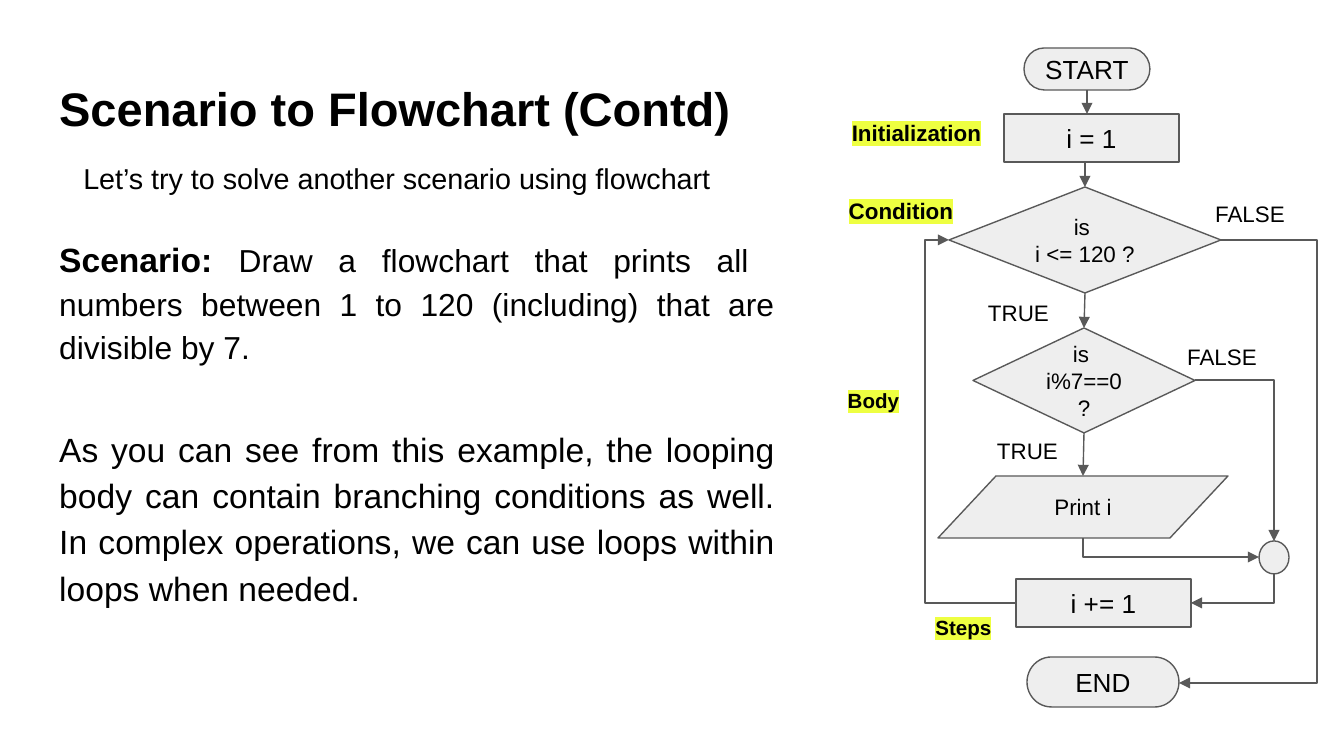
"""Build the slide that turns a looping scenario into a flowchart."""
from lxml.etree import SubElement
from pptx import Presentation
from pptx.dml.color import RGBColor
from pptx.enum.shapes import MSO_CONNECTOR as LINE, MSO_SHAPE as SHAPE
from pptx.enum.text import MSO_ANCHOR as ANCHOR, PP_ALIGN as ALIGN
from pptx.oxml.ns import qn
from pptx.util import Inches, Pt

BLACK = RGBColor(0x00, 0x00, 0x00)
GREY = RGBColor(0x59, 0x59, 0x59)
PALE = RGBColor(0xEE, 0xEE, 0xEE)
YELLOW = RGBColor(0xEE, 0xFF, 0x41)
FONT = "Arial"
PX = Inches(1) / 134.4

PROSE = dict(align=ALIGN.JUSTIFY, spacing=1.15, after=12)
PASSAGES = [
    ((46, 66, 765, 85), "Scenario to Flowchart (Contd)",
     dict(size=25.2, bold=True, align=ALIGN.LEFT)),
    ((46, 149, 702, 62), "Let’s try to solve another scenario using flowchart",
     dict(size=15.4, anchor=ANCHOR.MIDDLE, spacing=0.95, after=12)),
    ((46, 219, 742, 157),
     "Draw a flowchart that prints all  numbers between 1 to 120 (including) "
     "that are divisible by 7.", dict(size=17, lead="Scenario: ", **PROSE)),
    ((46, 409, 742, 208),
     "As you can see from this example, the looping body can contain branching "
     "conditions as well. In complex operations, we can use loops within loops "
     "when needed.", dict(size=18, **PROSE)),
]
STEPS = [
    (SHAPE.FLOWCHART_TERMINATOR, (1024, 48, 126, 42), "START", 14),
    (SHAPE.FLOWCHART_PROCESS, (1004, 114, 175, 48), "i = 1", 14),
    (SHAPE.FLOWCHART_DECISION, (949, 187, 272, 106), "is \ni <= 120 ?", 12),
    (SHAPE.FLOWCHART_DECISION, (973, 328, 222, 105), "is \ni%7==0 ?", 12),
    (SHAPE.FLOWCHART_DATA, (938, 476, 290, 62), "Print i", 12),
    (SHAPE.OVAL, (1259, 541, 30, 33), "", 12),
    (SHAPE.FLOWCHART_PROCESS, (1016, 579, 175, 48), "i += 1", 14),
    (SHAPE.FLOWCHART_TERMINATOR, (1027, 657, 152, 50), "END", 14),
]
BRANCHES = [
    ((973, 290, 91, 46), "TRUE"),
    ((1199, 198, 102, 32), "FALSE"),
    ((982, 425, 91, 51), "TRUE"),
    ((1171, 341, 102, 32), "FALSE"),
]
LOOP_PARTS = [
    ((828, 103, 177, 59), "Initialization", 12),
    ((828, 191, 146, 39), "Condition", 12),
    ((828, 371, 91, 59), "Body", 11),
    ((918, 598, 91, 59), "Steps", 11),
]
DROPS = [
    ((1087, 90), (1087, 114)),
    ((1085, 162), (1085, 187)),
    ((1085, 293), (1084, 328)),
    ((1084, 433), (1083, 476)),
]
# Corners run horizontally first, so an arrow may sit at either end.
CORNERS = [
    ((1195, 380), (1274, 541), "a:tailEnd"),
    ((1259, 557), (1083, 538), "a:headEnd"),
    ((1191, 603), (1274, 574), "a:headEnd"),
]
DETOURS = [
    ((1016, 603), (949, 240), 925),
    ((1221, 240), (1179, 683), 1317),
]


def px(*lengths):
    return [round(length * PX) for length in lengths]


def write(frame, text, size=12, bold=False, lead="", align=ALIGN.CENTER,
          anchor=ANCHOR.TOP, spacing=None, after=0, highlight=None):
    frame.word_wrap = True
    frame.vertical_anchor = anchor
    frame.margin_left = frame.margin_right = Inches(0.1)
    frame.margin_top = frame.margin_bottom = Inches(0.1)
    for number, words in enumerate(text.split("\n")):
        paragraph = frame.add_paragraph() if number else frame.paragraphs[0]
        paragraph.alignment = align
        paragraph.line_spacing = spacing
        paragraph.space_after = Pt(after)
        for part, points, heavy in ((lead, 18, True), (words, size, bold)):
            if not part:
                continue
            run = paragraph.add_run()
            run.text = part
            run.font.size, run.font.bold = Pt(points), heavy
            run.font.color.rgb = BLACK
            if highlight is not None:
                marker = SubElement(run.font._element, qn("a:highlight"))
                SubElement(marker, qn("a:srgbClr"), val=str(highlight))
            run.font.name = FONT


def add_text(slide, box, text, **style):
    write(slide.shapes.add_textbox(*px(*box)).text_frame, text, **style)


def add_step(slide, kind, box, text, size):
    step = slide.shapes.add_shape(kind, *px(*box))
    step.shadow.inherit = False
    step.fill.solid()
    step.fill.fore_color.rgb = PALE
    step.line.color.rgb = GREY
    step.line.width = Pt(0.75)
    write(step.text_frame, text, size=size, anchor=ANCHOR.MIDDLE)


def add_arrow(slide, start, end, kind=LINE.STRAIGHT, tip="a:tailEnd"):
    arrow = slide.shapes.add_connector(kind, *px(*start, *end))
    arrow.line.color.rgb = GREY
    arrow.line.width = Pt(0.75)
    properties = arrow._element.spPr
    SubElement(properties.find(qn("a:ln")), qn(tip), type="triangle")
    SubElement(properties, qn("a:effectLst"))
    return properties.find(qn("a:prstGeom"))


def main():
    deck = Presentation()
    deck.slide_width, deck.slide_height = px(1344, 756)
    slide = deck.slides.add_slide(deck.slide_layouts[6])

    for box, text, style in PASSAGES:
        add_text(slide, box, text, **style)
    for step in STEPS:
        add_step(slide, *step)
    for start, end in DROPS:
        add_arrow(slide, start, end)
    for start, end, tip in CORNERS:
        add_arrow(slide, start, end, LINE.ELBOW, tip).set("prst", "bentConnector2")
    for start, end, turn in DETOURS:
        geometry = add_arrow(slide, start, end, LINE.ELBOW)
        bend = round(100000 * (turn - start[0]) / (end[0] - start[0]))
        SubElement(geometry.find(qn("a:avLst")), qn("a:gd"),
                   name="adj1", fmla=f"val {bend}")
    for box, text in BRANCHES:
        add_text(slide, box, text, anchor=ANCHOR.MIDDLE)
    for box, text, size in LOOP_PARTS:
        add_text(slide, box, text, size=size, bold=True,
                 anchor=ANCHOR.MIDDLE, highlight=YELLOW)

    deck.save("out.pptx")


if __name__ == "__main__":
    main()
